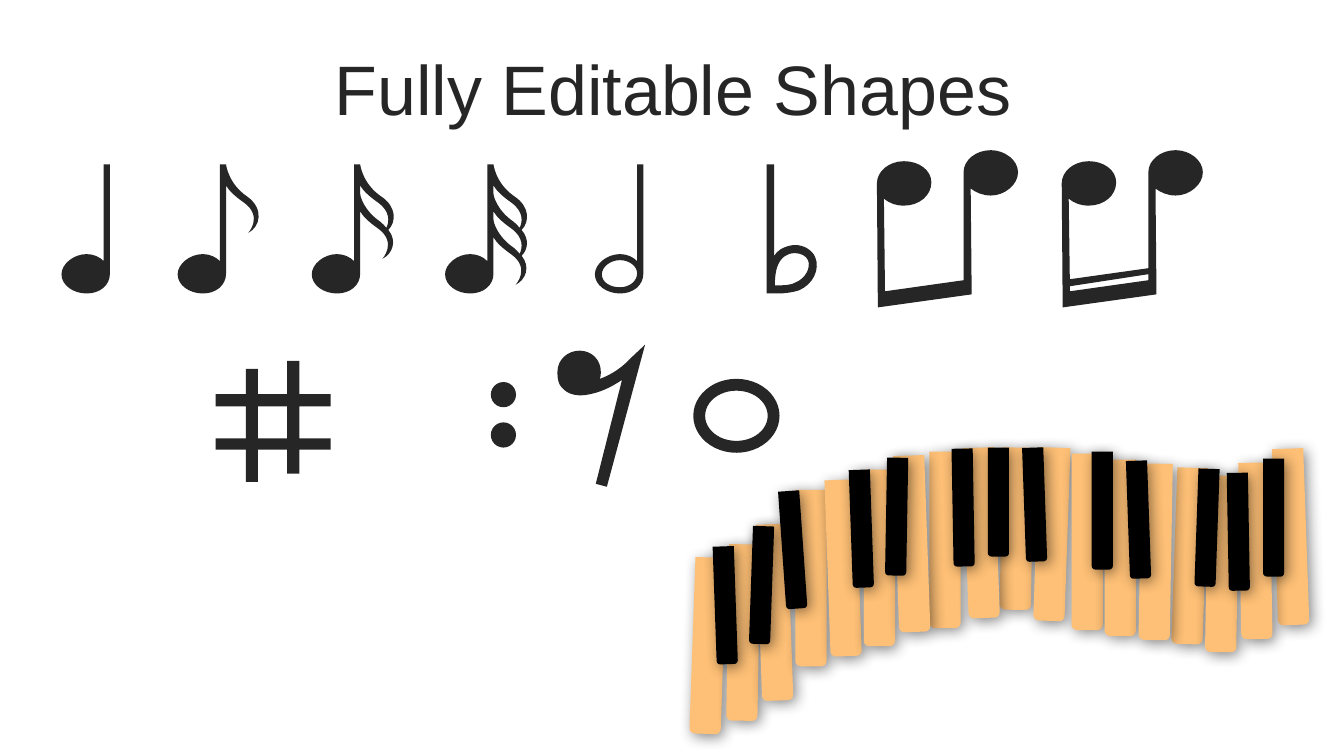
import pptx
import pptx.dml.color
import pptx.enum.shapes
import pptx.enum.text
import pptx.oxml
import pptx.oxml.ns
import pptx.util

Pt = pptx.util.Pt
RGBColor = pptx.dml.color.RGBColor
Preset = pptx.enum.shapes.MSO_SHAPE
qn = pptx.oxml.ns.qn

INK = RGBColor(0x26, 0x26, 0x26)
BLACK = RGBColor(0, 0, 0)
AMBER = RGBColor(0xFE, 0xC0, 0x76)

KEY_SHADOW = (
    f'<a:effectLst {pptx.oxml.ns.nsdecls("a")}>'
    f'<a:outerShdw blurRad="{Pt(10)}" dist="{Pt(3)}" dir="2700000" algn="tl" rotWithShape="0">'
    '<a:srgbClr val="000000"><a:alpha val="45000"/></a:srgbClr>'
    '</a:outerShdw></a:effectLst>')

# A contour is a list of segments: (x, y) is a line, six numbers are a cubic curve.
STEM_AND_HEAD = [
    (34.6, 0), (30.2, 0), (30.2, 69.1),
    (27.4, 66.2, 23, 64.1, 18, 64.1), (8.6, 64.1, 0, 71.3, 0, 78.5),
    (0, 86.4, 8.6, 92.2, 18, 92.2), (27.4, 92.2, 34.6, 86.4, 34.6, 78)]
HALF_NOTE_HOLE = [
    (18, 87.8), (10.8, 87.8, 5, 84.2, 5, 78.5), (5, 73.4, 10.8, 68.4, 18, 68.4),
    (24.5, 68.4, 30.2, 72.7, 30.2, 77.8), (30.2, 83.5, 24.5, 87.8, 18, 87.8)]
FLAG_UNDERSIDE = [
    (34.6, 15.1), (36.7, 18.7, 40.3, 22.3, 47.5, 27.4),
    (61.2, 37.4, 50.4, 49, 50.4, 49)]
SINGLE_FLAG_EDGE = [(59, 44.6, 61.9, 31.7, 49.7, 23)]
LAST_FLAG_EDGE = [(57.6, 45.5, 61.2, 36.2, 54.7, 28.3)]
UPPER_FLAG_EDGE = [(60.5, 41, 60.5, 30.2, 49.7, 23)]
MIDDLE_FLAG_EDGE = [(59, 42.5, 60.5, 35.3, 54.7, 28.3)]
FLAG_TOP = [(36, 13.7, 34.6, 0, 34.6, 0)]
FLAG_GAP = [
    (49, 41), (37.4, 33.1, 34.6, 23, 34.6, 20.9), (34.6, 15.1),
    (36.7, 18.7, 40.3, 22.3, 47.5, 27.4), (56.2, 33.8, 55.4, 41, 53.3, 45.4),
    (51.8, 43.9, 51.1, 42.5, 49, 41)]
FLAG_STEP = 18.5

FLAT = [
    [(0, 0), (5.2, 0), (5.2, 65.5),
     (6.5, 63.4, 7.9, 61.9, 10.1, 60.5), (13, 59, 16.6, 57.6, 20.2, 57.6),
     (26.6, 57.6, 32.4, 61.2, 34.6, 66.2), (38.2, 74.9, 33.1, 85.7, 23, 90),
     (18.7, 91.4, 13, 92.2, 7.9, 92.2), (0, 92.2)],
    [(7.2, 86.4), (12.2, 86.4, 17.3, 86.4, 20.9, 84.2),
     (27.4, 81.4, 31.7, 74.2, 29.5, 68.4), (28.1, 65.5, 24.5, 63.4, 20.2, 63.4),
     (17.3, 63.4, 15.1, 64.1, 13, 65.5), (7.9, 69.1, 5.8, 75.6, 5.8, 86.4)]]
BEAMED_PAIR = [
    (61.9, 15.8), (61.9, 7.2, 70.6, 0, 81.4, 0), (91.4, 0, 100.8, 7.2, 100.8, 15.8),
    (100.8, 24.5, 91.4, 32.4, 81.4, 32.4), (75.6, 32.4, 70.6, 30.2, 67, 27.4),
    (67.7, 103), (0.7, 112.3), (0, 23.8), (0, 15.1, 8.6, 7.9, 19.4, 7.9),
    (30.2, 7.9, 38.9, 14.4, 38.9, 23), (38.9, 32.4, 30.2, 39.6, 19.4, 39.6),
    (13.7, 39.6, 9.4, 38.2, 5, 34.6)]
BEAM_TOP = [(5.8, 100.8), (61.9, 92.9)]
SECOND_BEAM_TOP = [(5.8, 92.2), (61.9, 84.3)]
BEAM_GAP = [(5.8, 100.8), (5.8, 97.2), (61.9, 88.6), (61.9, 92.9)]
SHARP = [
    [(82.1, 32.4), (82.1, 23.8), (59.8, 23.8), (59.8, 0), (51.1, 0), (51.1, 23.8),
     (30.2, 23.8), (30.2, 5.8), (21.6, 5.8), (21.6, 23.8), (0, 23.8), (0, 32.4),
     (21.6, 32.4), (21.6, 55.4), (0, 55.4), (0, 63.4), (21.6, 63.4), (21.6, 86.4),
     (30.2, 86.4), (30.2, 63.4), (51.1, 63.4), (51.1, 80.6), (59.8, 80.6),
     (59.8, 63.4), (82.1, 63.4), (82.1, 55.4), (59.8, 55.4), (59.8, 32.4)],
    [(51.1, 55.4), (30.2, 55.4), (30.2, 32.4), (51.1, 32.4)]]
EIGHTH_REST = [
    [(51.1, 10.8), (51.1, 10.8, 43.9, 19.4, 30.2, 24.5), (31, 23, 31, 21.6, 31, 19.4),
     (31, 10.8, 24.5, 4.3, 15.8, 4.3), (7.2, 4.3, 0, 10.8, 0, 19.4),
     (0, 21.6, 0, 25.2, 1.4, 28.1), (2.9, 31, 7.9, 37.4, 19.4, 36),
     (31, 34.6, 39.6, 29.5, 46.1, 25.2), (27.4, 99.4), (35.3, 101.5), (62.6, 0)]]

# Left, top, rotation and, where it is not the usual one, height.
WHITE_KEYS = [
    (910.8, 320.4, 178), (838.8, 334.1, 182), (715, 319.7, 181, 115.9),
    (663.8, 322.6, 180), (494.6, 398.2, 182), (519.8, 388.8, 181),
    (542.2, 374.4, 178), (568.1, 349.9, 180), (591.1, 342.7, 178),
    (617, 335.5, 180), (640.1, 325.4, 178), (689.8, 319.7, 178, 121.7),
    (740.2, 319.7, 182, 123.8), (765.4, 324, 180), (789.1, 328.3, 180),
    (814.3, 331.2, 181), (861.8, 339.8, 181), (885.6, 330.5, 179)]
BLACK_KEYS = [
    (510.5, 390.2, 178), (536.4, 375.8, 182), (558.7, 350.6, 176),
    (607.7, 335.5, 178), (632.9, 326.9, 181), (680.4, 320.4, 179),
    (705.6, 319.7, 180, 77.8), (731.5, 319.7, 178, 81.4), (779.8, 322.6, 180),
    (805.7, 329, 178), (854.6, 334.8, 182), (877, 337.7, 179), (902.2, 327.6, 180)]


def lower(contour, distance):
    return [tuple(v + distance * (i % 2) for i, v in enumerate(seg)) for seg in contour]


def bend(freeform, contours):
    """Join the three lines that stand for each cubic segment into one curve."""
    outline = freeform._element.find(".//" + qn("a:path"))
    lines = iter(outline.findall(qn("a:lnTo")))
    for seg in (seg for contour in contours for seg in contour[1:]):
        piece = next(lines)
        if len(seg) == 6:
            piece.tag = qn("a:cubicBezTo")
            for _ in range(2):
                extra = next(lines)
                piece.append(extra[0])
                outline.remove(extra)


def note(flags=0, hollow=False):
    """Contours of a stemmed note with the given number of flags."""
    outline = list(STEM_AND_HEAD)
    if flags:
        drop = (flags - 1) * FLAG_STEP
        outline += lower(FLAG_UNDERSIDE, drop)
        if flags == 1:
            outline += SINGLE_FLAG_EDGE
        else:
            outline += lower(LAST_FLAG_EDGE, drop)
            for level in range(flags - 2, 0, -1):
                outline += lower(MIDDLE_FLAG_EDGE, level * FLAG_STEP)
            outline += UPPER_FLAG_EDGE
        outline += FLAG_TOP
    gaps = [lower(FLAG_GAP, level * FLAG_STEP) for level in range(flags - 1)]
    return [outline, *gaps] + ([HALF_NOTE_HOLE] if hollow else [])


class MusicSlide:
    def __init__(self, deck):
        self.slide = deck.slides.add_slide(deck.slide_layouts[5])
        self.shapes = self.slide.shapes
        self.title_font = {"name": "Arial", "size": Pt(50), "bold": False}

    def paint(self, shape, color):
        shape.shadow.inherit = False
        shape.fill.solid()
        shape.fill.fore_color.rgb = color
        shape.line.fill.background()

    def title(self, text, left, top, width, height):
        heading = self.shapes.title
        place = {"left": left, "top": top, "width": width, "height": height}
        for side, length in place.items():
            setattr(heading, side, Pt(length))
        frame = heading.text_frame
        frame.text = text
        frame_format = {"word_wrap": True, "auto_size": pptx.enum.text.MSO_AUTO_SIZE.NONE,
                        "vertical_anchor": pptx.enum.text.MSO_ANCHOR.MIDDLE}
        line = frame.paragraphs[0]
        line_format = {"alignment": pptx.enum.text.PP_ALIGN.CENTER, "line_spacing": 0.8}
        for target, values in ((frame, frame_format), (line, line_format),
                               (line.font, self.title_font)):
            for key, value in values.items():
                setattr(target, key, value)
        line.font.color.rgb = INK

    def symbol(self, left, top, contours):
        builder = None
        for contour in contours:
            start, *rest = [(Pt(left + x), Pt(top + y))
                            for seg in contour for x, y in zip(seg[::2], seg[1::2])]
            if builder is None:
                builder = self.shapes.build_freeform(*start)
            else:
                builder.move_to(*start)
            builder.add_line_segments(rest, close=True)
        freeform = builder.convert_to_shape()
        bend(freeform, contours)
        self.paint(freeform, INK)

    def preset(self, kind, left, top, width, height, color=INK, owner=None):
        shape = (owner or self.slide).shapes.add_shape(
            kind, Pt(left), Pt(top), Pt(width), Pt(height))
        self.paint(shape, color)
        return shape

    def keys(self, keyboard, places, width, usual_height, color):
        for left, top, rotation, *height in places:
            key = self.preset(Preset.ROUND_2_SAME_RECTANGLE, left, top, width,
                              height[0] if height else usual_height, color, keyboard)
            key.rotation = rotation
            properties = key._element.spPr
            properties.replace(properties.find(qn("a:effectLst")),
                               pptx.oxml.parse_xml(KEY_SHADOW))


def main():
    deck = pptx.Presentation()
    deck.slide_width, deck.slide_height = Pt(960), Pt(540)
    music = MusicSlide(deck)
    music.title("Fully Editable Shapes", 25.2, 39.6, 911.5, 56.9)

    for left, contours in ((43.9, note()), (424.9, note(hollow=True)), (126.9, note(1)),
                           (317.9, note(3)), (222.7, note(2)), (547.7, FLAT)):
        music.symbol(left, 117.4, contours)
    music.symbol(626.4, 107.3, [BEAMED_PAIR + BEAM_TOP])
    music.symbol(758.4, 107.3, [BEAMED_PAIR + SECOND_BEAM_TOP, BEAM_GAP])

    music.symbol(154.1, 257.8, SHARP)
    music.symbol(398.2, 246.2, EIGHTH_REST)
    whole_note = music.preset(Preset.DONUT, 495.2, 270.6, 61.6, 52.8)
    whole_note.adjustments[0] = 0.16
    repeat_dots = music.shapes.add_group_shape()
    for top in (272.9, 301.7):
        music.preset(Preset.OVAL, 350.6, top, 18, 18, owner=repeat_dots)

    keyboard = music.shapes.add_group_shape()
    music.keys(keyboard, WHITE_KEYS, 22.3, 126, AMBER)
    music.keys(keyboard, BLACK_KEYS, 15.1, 84.2, BLACK)
    deck.save("out.pptx")


if __name__ == "__main__":
    main()
